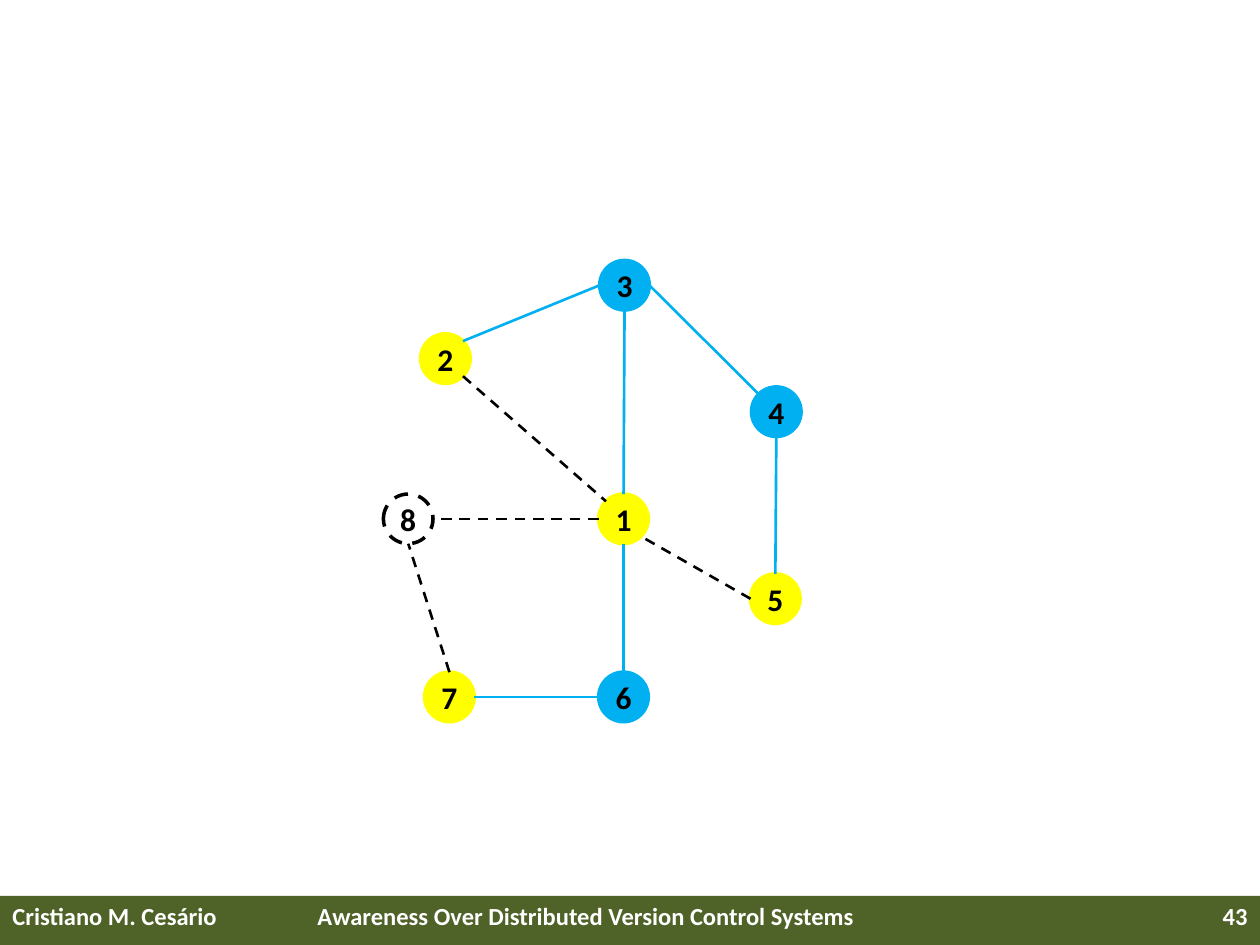
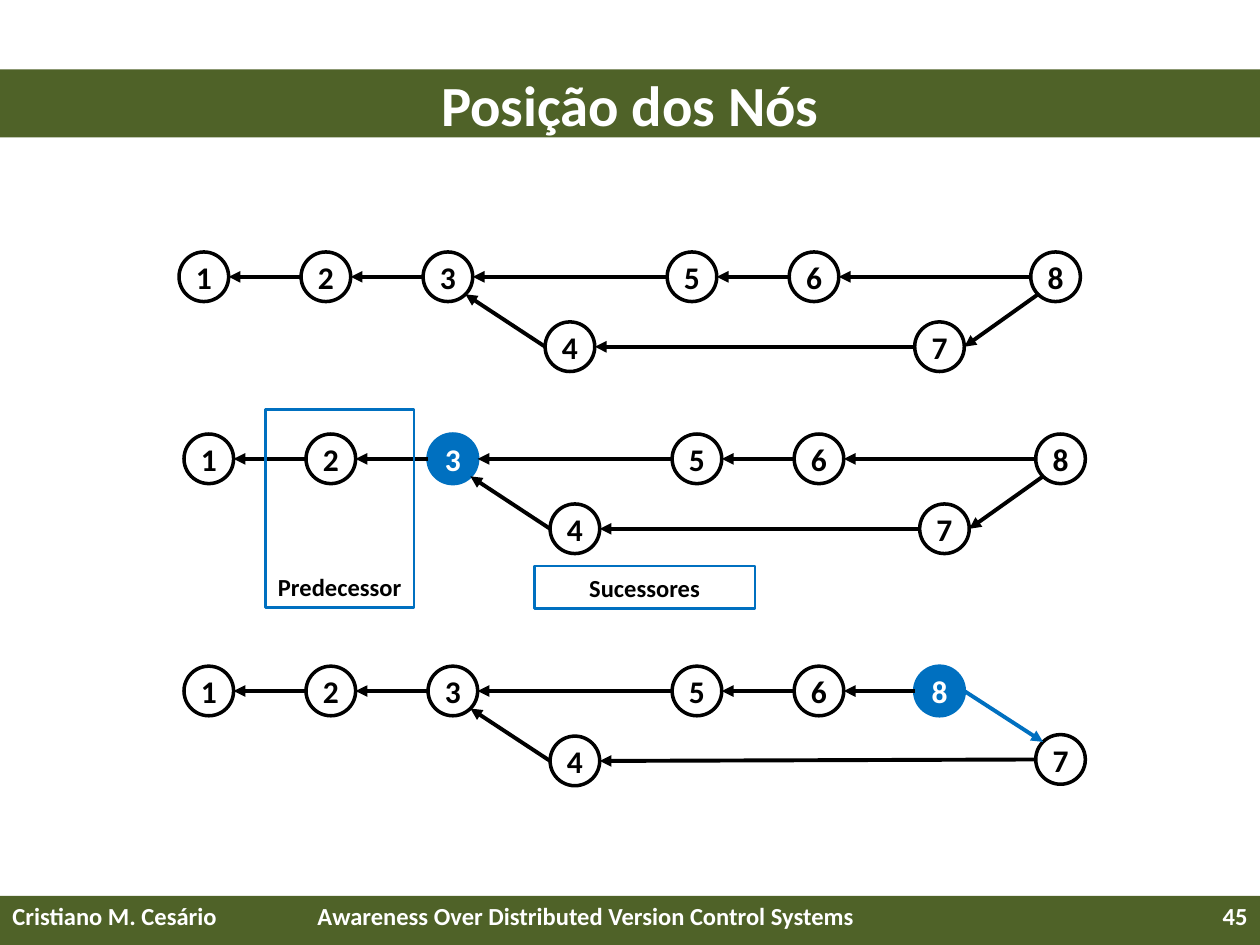
import math

from pptx import Presentation
from pptx import util as u
from pptx.dml.color import RGBColor as Rgb
from pptx.enum import dml, shapes, text
from pptx.oxml import ns, xmlchemy as xml


class Theme:
    font = "Calibri"
    green = Rgb.from_string("4F6228")
    white = Rgb.from_string("FFFFFF")
    black = Rgb.from_string("000000")
    yellow = Rgb.from_string("FFFF00")
    sky = Rgb.from_string("00B0F0")
    blue = Rgb.from_string("0070C0")
    title = 32.4
    label = 18
    small = 14
    ring = 2
    thin = 1.5
    thick = 2.25


SIZE = 1
SIDES = {
    side: (SIZE / 2 * math.cos(i * math.pi / 4), SIZE / 2 * math.sin(i * math.pi / 4))
    for i, side in enumerate("e se s sw w nw n ne".split())
}


def write(shape, words, size, color, align=text.PP_ALIGN.CENTER):
    para = shape.text_frame.paragraphs[0]
    para.text = words
    para.alignment = align
    font = para.font
    font.name, font.size, font.bold = Theme.font, u.Pt(size), True
    font.color.rgb = color


def link(pool, spots, edge, color, width, dash=False, arrow=False):
    start, out, end, into = edge.split()
    ends = [
        u.Cm(spots[name][axis] + SIZE / 2 + SIDES[side][axis])
        for name, side in ((start, out), (end, into))
        for axis in (0, 1)
    ]
    wire = pool.add_connector(shapes.MSO_CONNECTOR.STRAIGHT, *ends)
    wire.line.color.rgb = color
    wire.line.width = u.Pt(width)
    if dash:
        wire.line.dash_style = dml.MSO_LINE.DASH
    props = wire._element.spPr
    if arrow:
        tail = xml.OxmlElement("a:tailEnd")
        tail.set("type", "triangle")
        props.find(ns.qn("a:ln")).append(tail)
    props.append(xml.OxmlElement("a:effectLst"))


deck = Presentation()
deck.slide_width, deck.slide_height = u.Cm(25.4), u.Cm(19.05)
left, right = text.PP_ALIGN.LEFT, text.PP_ALIGN.RIGHT

pages = []
for layout, number in ((6, "43"), (5, "45")):
    page = deck.slides.add_slide(deck.slide_layouts[layout])
    pages.append(page)
    band = page.shapes.add_shape(
        shapes.MSO_SHAPE.RECTANGLE, 0, u.Cm(18.06), deck.slide_width, u.Cm(0.99)
    )
    band.shadow.inherit = False
    band.fill.solid()
    band.fill.fore_color.rgb = Theme.green
    band.line.fill.background()
    for x, width, words, align in (
        (0, 5.92, "Cristiano M. Cesário", left),
        (6.15, 13.13, "Awareness Over Distributed Version Control Systems", left),
        (19.48, 5.92, number, right),
    ):
        box = page.shapes.add_textbox(u.Cm(x), u.Cm(18.03), u.Cm(width), u.Cm(1.02))
        box.text_frame.word_wrap = True
        write(box, words, Theme.small, Theme.white, align)

graph, order = pages

head = order.shapes.title
head.left, head.top, head.width, head.height = 0, u.Cm(1.4), deck.slide_width, u.Cm(1.37)
head.fill.solid()
head.fill.fore_color.rgb = Theme.green
head.text_frame.vertical_anchor = text.MSO_ANCHOR.MIDDLE
head.text_frame.auto_size = text.MSO_AUTO_SIZE.NONE
write(head, "Posição dos Nós", Theme.title, Theme.white)

plots = []
spots = {
    "1": (12.07, 9.96),
    "2": (8.48, 6.73),
    "3": (12.09, 5.25),
    "4": (15.15, 7.8),
    "5": (15.13, 11.57),
    "6": (12.07, 13.55),
    "7": (8.56, 13.55),
    "8": (7.73, 9.96),
}
looks = {name: (Theme.yellow, Theme.yellow, Theme.black) for name in "1257"}
looks |= {name: (Theme.sky, Theme.sky, Theme.black) for name in "346"}
looks["8"] = (None, Theme.black, Theme.black)
solid = ["3 s 1 n", "3 w 2 ne", "1 s 6 n", "6 w 7 e", "3 e 4 nw", "4 s 5 n"]
dashed = ["1 w 8 e", "2 se 1 nw", "5 w 1 se", "7 n 8 s"]
links = [(edge, Theme.sky, Theme.thin) for edge in solid]
links += [(edge, Theme.black, Theme.thin, True) for edge in dashed]
plots.append((graph.shapes, spots, looks, links))

step, drop = 2.46, 1.41
chain = ["2 w 1 e", "3 w 2 e", "4 w 3 se", "5 w 3 e", "7 w 4 e", "6 w 5 e", "8 w 6 e"]
for x, y, focus in ((3.61, 5.08, ""), (3.71, 8.75, "3"), (3.71, 13.43, "8")):
    spots = {str(i + 1): (x + i * step, y) for i in range(6)}
    spots["4"] = (x + 3 * step, y + drop)
    spots["7"] = (x + 14.83, y + drop)
    spots["8"] = (x + 17.17, y)
    links = [(edge, Theme.black, Theme.thick, False, True) for edge in chain]
    last, color = "8 sw 7 e", Theme.black
    if focus == "8":
        spots["7"], spots["8"] = (x + 17.17, y + 1.38), (x + 14.73, y)
        last, color = "8 e 7 nw", Theme.blue
    links.append((last, color, Theme.thick, False, True))
    looks = {name: (Theme.white, Theme.black, Theme.black) for name in spots}
    if focus:
        looks[focus] = (Theme.blue, Theme.blue, Theme.white)
    plots.append((order.shapes.add_group_shape().shapes, spots, looks, links))

for pool, spots, looks, links in plots:
    for name, (x, y) in spots.items():
        fill, rim, ink = looks[name]
        node = pool.add_shape(
            shapes.MSO_SHAPE.OVAL, u.Cm(x), u.Cm(y), u.Cm(SIZE), u.Cm(SIZE)
        )
        node.shadow.inherit = False
        node.line.color.rgb = rim
        node.line.width = u.Pt(Theme.ring)
        if fill is None:
            node.fill.background()
            node.line.dash_style = dml.MSO_LINE.DASH
        else:
            node.fill.solid()
            node.fill.fore_color.rgb = fill
        frame = node.text_frame
        frame.vertical_anchor = text.MSO_ANCHOR.MIDDLE
        frame.margin_left = frame.margin_right = u.Cm(0.1)
        frame.margin_top = frame.margin_bottom = u.Cm(0.1)
        write(node, name, Theme.label, ink)
    for item in links:
        link(pool, spots, *item)

for x, y, width, height, words in (
    (5.35, 8.25, 3, 4, "Predecessor"),
    (10.77, 11.41, 4.45, 0.86, "Sucessores"),
):
    box = order.shapes.add_shape(
        shapes.MSO_SHAPE.RECTANGLE, u.Cm(x), u.Cm(y), u.Cm(width), u.Cm(height)
    )
    box.shadow.inherit = False
    box.fill.background()
    box.line.color.rgb = Theme.blue
    box.line.width = u.Pt(Theme.thin)
    box.text_frame.word_wrap = False
    box.text_frame.vertical_anchor = text.MSO_ANCHOR.BOTTOM
    write(box, words, Theme.small, Theme.black)

deck.save("out.pptx")
